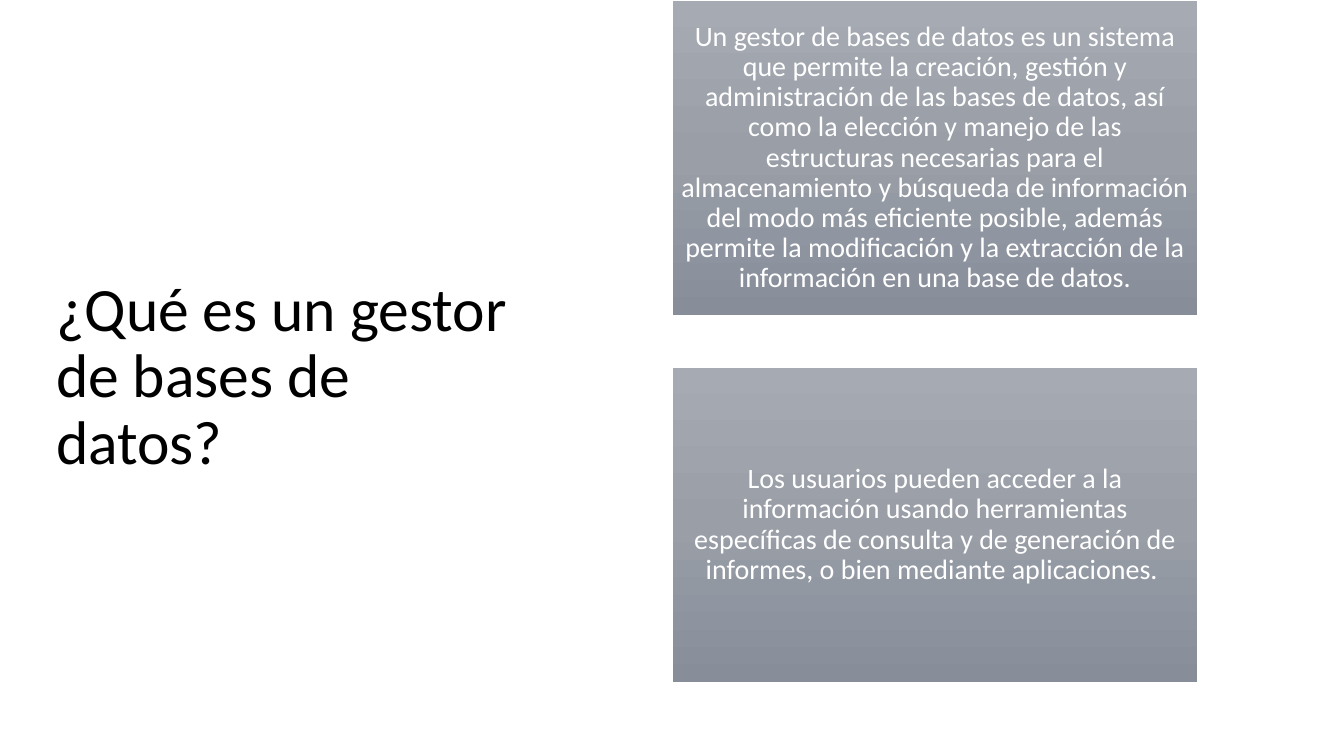
from copy import deepcopy

from pptx import Presentation
from pptx.dml.color import RGBColor
from pptx.enum.shapes import MSO_SHAPE
from pptx.enum.text import MSO_ANCHOR, MSO_AUTO_SIZE, PP_ALIGN
from pptx.oxml.ns import qn
from pptx.util import Emu, Pt

BOXES = [
    "Un gestor de bases de datos es un sistema que permite la creación, gestión y "
    "administración de las bases de datos, así como la elección y manejo de las "
    "estructuras necesarias para el almacenamiento y búsqueda de información del modo "
    "más eficiente posible, además permite la modificación y la extracción de la "
    "información en una base de datos.",
    "Los usuarios pueden acceder a la información usando herramientas específicas de "
    "consulta y de generación de informes, o bien mediante aplicaciones. ",
]


def px(n):
    return Emu(round(n * 914400 / 100.8))


def rgb(value):
    return RGBColor.from_string(value)


class Deck:
    """Holds the style and the current slide."""

    font = "Calibri"
    gradient = [(0, "A5AAB3"), (0.5, "999EA7"), (1, "878E9A")]

    def __init__(self, width, height):
        self.prs = Presentation()
        self.prs.slide_width, self.prs.slide_height = px(width), px(height)
        self.slide = self.prs.slides.add_slide(self.prs.slide_layouts[5])

    def set_text(self, sp, text, size, color, align):
        tf = sp.text_frame
        tf.word_wrap = True
        tf.auto_size = MSO_AUTO_SIZE.NONE
        tf.vertical_anchor = MSO_ANCHOR.MIDDLE
        tf.text = text
        p = tf.paragraphs[0]
        p.alignment = align
        p.line_spacing = 0.9
        p.font.name = self.font
        p.font.size = Pt(size)
        p.font.color.rgb = rgb(color)
        return tf

    def title(self, text, x, y, w, h):
        sp = self.slide.shapes.title
        sp.left, sp.top, sp.width, sp.height = px(x), px(y), px(w), px(h)
        self.set_text(sp, text, 44, "000000", PP_ALIGN.LEFT)

    def box(self, text, x, y, w, h):
        sp = self.slide.shapes.add_shape(MSO_SHAPE.RECTANGLE, px(x), px(y), px(w), px(h))
        sp.shadow.inherit = False
        sp.line.fill.background()
        self.shade(sp)
        tf = self.set_text(sp, text, 20, "FFFFFF", PP_ALIGN.CENTER)
        tf.margin_left = tf.margin_right = tf.margin_top = tf.margin_bottom = px(8)
        tf.paragraphs[0].space_after = Pt(7)

    def shade(self, sp):
        sp.fill.gradient()
        sp.fill.gradient_angle = 270
        first = next(sp.element.iter(qn("a:gs")))
        first.addnext(deepcopy(first))
        for stop, (position, color) in zip(sp.fill.gradient_stops, self.gradient):
            stop.position = position
            stop.color.rgb = rgb(color)


def main():
    deck = Deck(1344, 756)
    deck.title("¿Qué es un gestor de bases de datos?", 46, 104, 493, 548)
    for i, text in enumerate(BOXES):
        deck.box(text, 673, 1 + 367 * i, 524, 314)
    deck.prs.save("out.pptx")


if __name__ == "__main__":
    main()
